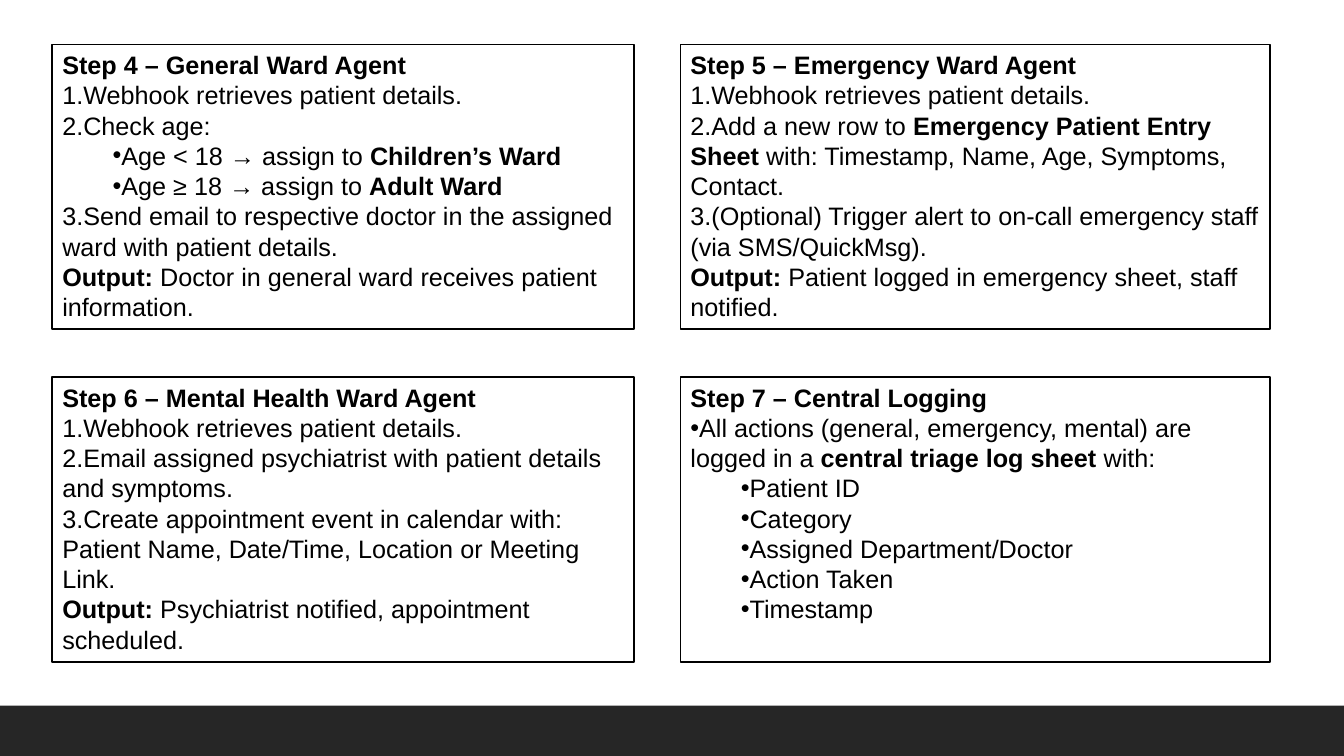
import pptx
import pptx.util
import pptx.dml.color
import pptx.enum.shapes
import pptx.enum.text
import lxml.etree
from pptx.oxml.ns import qn

Cm = pptx.util.Cm
Pt = pptx.util.Pt
RGB = pptx.dml.color.RGBColor
RECT = pptx.enum.shapes.MSO_SHAPE.RECTANGLE

BLACK = RGB(0x00, 0x00, 0x00)
WHITE = RGB(0xFF, 0xFF, 0xFF)
DARK = RGB(0x26, 0x26, 0x26)

# Line marks: "#" numbered, "-" bullet, "--" indented bullet, "=" plain;
# ** switches bold on and off
STEPS = [
    ["= **Step 4 – General Ward Agent**",
     "# Webhook retrieves patient details.",
     "# Check age:",
     "-- Age < 18 → assign to **Children’s Ward**",
     "-- Age ≥ 18 → assign to **Adult Ward**",
     "# Send email to respective doctor in the assigned ward with patient details.",
     "= **Output:** Doctor in general ward receives patient information."],
    ["= **Step 5 – Emergency Ward Agent**",
     "# Webhook retrieves patient details.",
     "# Add a new row to **Emergency Patient Entry Sheet** with: "
     "Timestamp, Name, Age, Symptoms, Contact.",
     "# (Optional) Trigger alert to on-call emergency staff (via SMS/QuickMsg).",
     "= **Output:** Patient logged in emergency sheet, staff notified."],
    ["= **Step 6 – Mental Health Ward Agent**",
     "# Webhook retrieves patient details.",
     "# Email assigned psychiatrist with patient details and symptoms.",
     "# Create appointment event in calendar with: "
     "Patient Name, Date/Time, Location or Meeting Link.",
     "= **Output:** Psychiatrist notified, appointment scheduled."],
    ["= **Step 7 – Central Logging**",
     "- All actions (general, emergency, mental) are logged in a "
     "**central triage log sheet** with:",
     "-- Patient ID",
     "-- Category",
     "-- Assigned Department/Doctor",
     "-- Action Taken",
     "-- Timestamp"],
]
COLS = [(1.32, 14.66), (17.15, 14.86)]
TOPS = [1.12, 9.5]

deck = pptx.Presentation()
deck.slide_width = Cm(33.87)
deck.slide_height = Cm(19.05)
slide = deck.slides.add_slide(deck.slide_layouts[6])


def add_rect(left, top, width, height, fill):
    rect = slide.shapes.add_shape(RECT, Cm(left), Cm(top), Cm(width), Cm(height))
    rect.shadow.inherit = False
    rect.fill.solid()
    rect.fill.fore_color.rgb = fill
    rect.line.fill.background()
    return rect


def add_mark(para, mark, count):
    props = para._p.get_or_add_pPr()
    props.set("marL", str(Cm(1.27) if mark == "--" else 0))
    props.set("indent", "0")
    if mark == "#":
        bullet = lxml.etree.Element(qn("a:buAutoNum"), type="arabicPeriod", startAt=str(count))
    elif mark == "=":
        bullet = lxml.etree.Element(qn("a:buNone"))
    else:
        bullet = lxml.etree.Element(qn("a:buChar"), char="•")
    props.insert(0, bullet)
    if mark in ("-", "--"):
        props.insert(0, lxml.etree.Element(qn("a:buFont"), typeface="Arial"))


# Footer band
add_rect(0, 17.78, 33.87, 1.27, DARK)

# Step boxes, two by two
for i, lines in enumerate(STEPS):
    left, width = COLS[i % 2]
    box = add_rect(left, TOPS[i // 2], width, 7.18, WHITE)
    box.line.color.rgb = BLACK
    box.line.width = Pt(1.25)
    frame = box.text_frame
    frame.word_wrap = True
    frame.vertical_anchor = pptx.enum.text.MSO_ANCHOR.TOP
    count = 0
    for j, line in enumerate(lines):
        mark, text = line.split(" ", 1)
        para = frame.paragraphs[0] if j == 0 else frame.add_paragraph()
        para.alignment = pptx.enum.text.PP_ALIGN.LEFT
        para.level = 1 if mark == "--" else 0
        para.font.name = "Arial"
        para.font.size = Pt(18)
        para.font.color.rgb = BLACK
        count += mark == "#"
        add_mark(para, mark, count)
        for k, part in enumerate(text.split("**")):
            if part:
                run = para.add_run()
                run.text = part
                run.font.bold = k % 2 == 1

deck.save("out.pptx")
